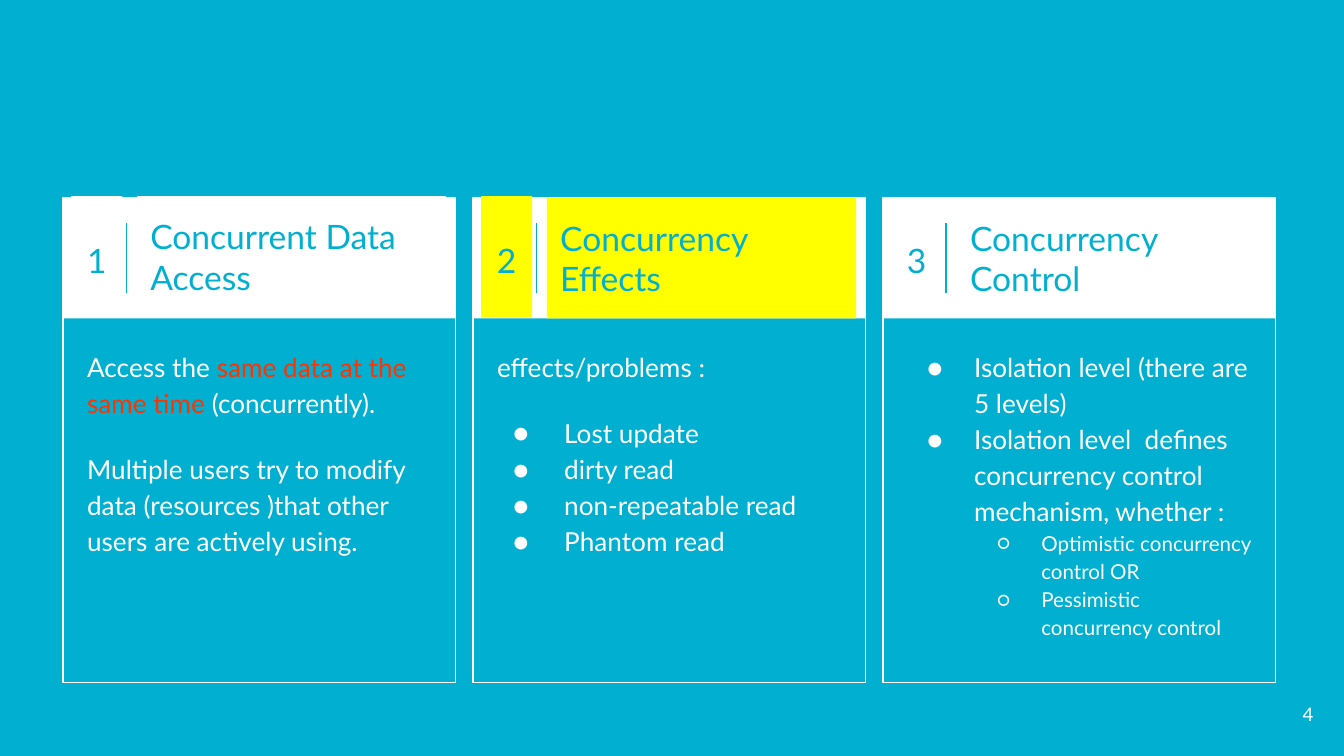
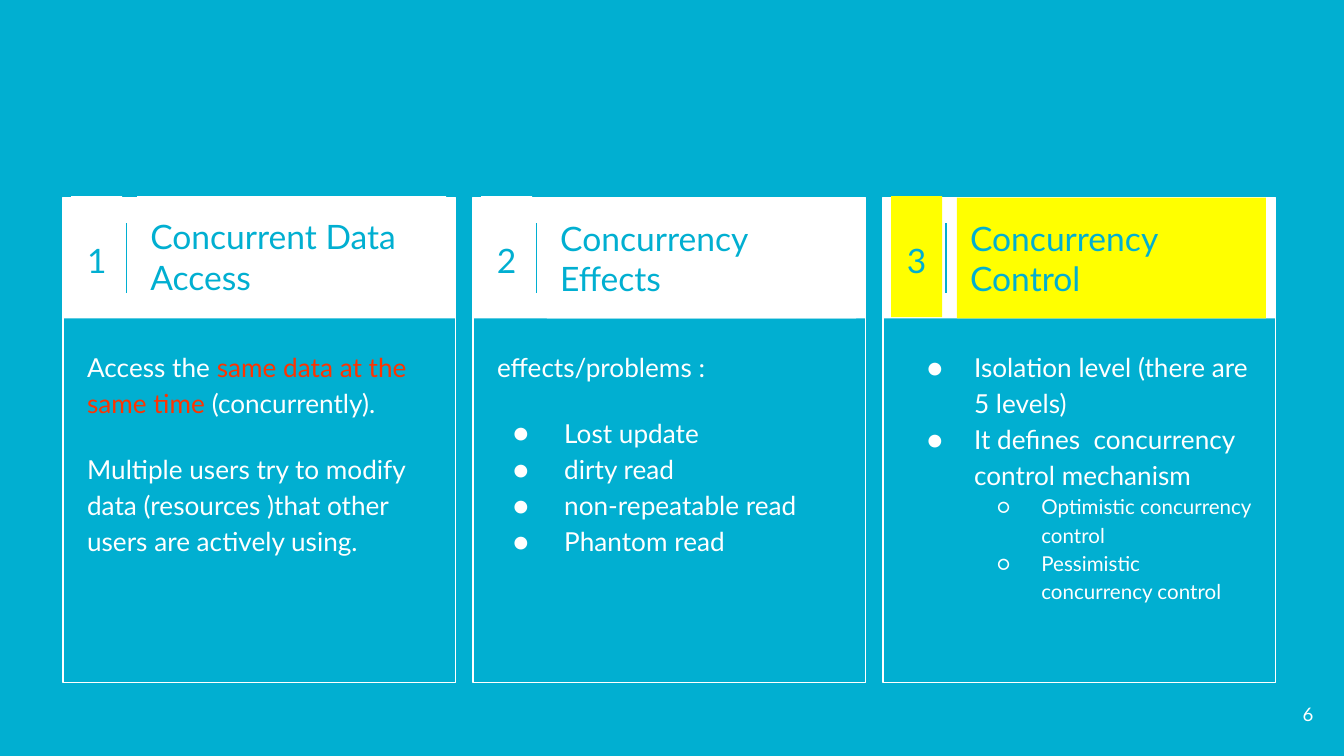
from lxml import etree
from pptx import Presentation
from pptx.dml.color import RGBColor
from pptx.enum.shapes import MSO_CONNECTOR, MSO_SHAPE
from pptx.enum.text import MSO_ANCHOR, PP_ALIGN
from pptx.oxml.ns import qn
from pptx.util import Inches, Pt

RECT = MSO_SHAPE.RECTANGLE
STRAIGHT = MSO_CONNECTOR.STRAIGHT
TOP, MIDDLE = MSO_ANCHOR.TOP, MSO_ANCHOR.MIDDLE
LEFT, CENTER, RIGHT = PP_ALIGN.LEFT, PP_ALIGN.CENTER, PP_ALIGN.RIGHT

BLUE, WHITE, YELLOW, RED = "01AFD1", "FFFFFF", "FFFF00", "FF3300"
FONT = "Lato"
CARD_LEFT, CARD_TOP, CARD_PITCH = 0.47, 1.47, 3.05
CARD_W, CARD_H, HEAD_H = 2.92, 3.61, 0.9


def rgb(color):
    """Turn a hex string into a colour."""
    return RGBColor.from_string(color)


def para(*runs, size=14, before=0, spacing=1.15, align=LEFT, color=WHITE, bullet=None):
    """Describe a paragraph; a run is a text or a (text, colour) pair."""
    runs = [(r, color) if isinstance(r, str) else r for r in runs]
    return dict(runs=runs, size=size, before=before, spacing=spacing,
                align=align, bullet=bullet)


def item(text, hang, before=0):
    """Describe a first-level bullet."""
    return para(text, before=before, bullet=("●", 0, hang))


def subitem(text):
    """Describe a second-level bullet."""
    return para(text, size=11, bullet=("○", 1, 0.33))


class Deck:
    """Holds the presentation, its style and the current slide."""

    def __init__(self):
        """Start an empty 16:9 presentation."""
        self.prs = Presentation()
        self.prs.slide_width = Inches(10)
        self.prs.slide_height = Inches(10 * 9 / 16)
        self.s = None

    def slide(self):
        """Add a slide with its background."""
        self.s = self.prs.slides.add_slide(self.prs.slide_layouts[6])
        fill = self.s.background.fill
        fill.solid()
        fill.fore_color.rgb = rgb(BLUE)

    def page_number(self, number):
        """Write the page number in the corner."""
        self.text(9.27, 5.1, 0.6, 0.43,
                  [para(str(number), size=10, spacing=1, align=RIGHT)], MIDDLE)

    def rect(self, shapes, x, y, w, h, fill=None, line=None):
        """Draw a plain rectangle in the given shape collection."""
        sp = shapes.add_shape(RECT, Inches(x), Inches(y), Inches(w), Inches(h))
        sp.shadow.inherit = False
        if fill:
            sp.fill.solid()
            sp.fill.fore_color.rgb = rgb(fill)
        else:
            sp.fill.background()
        if line:
            sp.line.color.rgb = rgb(line)
            sp.line.width = Pt(0.75)
        else:
            sp.line.fill.background()
        return sp

    def rule(self, x, y1, y2):
        """Draw a thin vertical rule."""
        c = self.s.shapes.add_connector(STRAIGHT, Inches(x), Inches(y1), Inches(x), Inches(y2))
        c.line.color.rgb = rgb(BLUE)
        c.line.width = Pt(0.75)
        etree.SubElement(c._element.spPr, qn("a:effectLst"))

    def text(self, x, y, w, h, paras, anchor=TOP, fill=None):
        """Place paragraphs in a text box, or in a filled rectangle."""
        if fill:
            sp = self.rect(self.s.shapes, x, y, w, h, fill)
        else:
            sp = self.s.shapes.add_textbox(Inches(x), Inches(y), Inches(w), Inches(h))
        tf = sp.text_frame
        tf.word_wrap = True
        tf.vertical_anchor = anchor
        tf.margin_left = tf.margin_right = tf.margin_top = tf.margin_bottom = Inches(0.1)
        for i, style in enumerate(paras):
            self.paragraph(tf.add_paragraph() if i else tf.paragraphs[0], style)

    def paragraph(self, p, style):
        """Fill and format one paragraph."""
        p.alignment = style["align"]
        p.line_spacing = style["spacing"]
        p.space_before = Pt(style["before"])
        if style["bullet"]:
            self.bullet(p, *style["bullet"])
        for text, color in style["runs"]:
            r = p.add_run()
            r.text = text
            r.font.name = FONT
            r.font.size = Pt(style["size"])
            r.font.color.rgb = rgb(color)

    def bullet(self, p, char, level, hang):
        """Give a paragraph a white bullet and a hanging indent."""
        p.level = level
        pPr = p._p.get_or_add_pPr()
        pPr.set("marL", str(Inches(0.5 * (level + 1))))
        pPr.set("indent", str(-Inches(hang)))
        clr = etree.SubElement(pPr, qn("a:buClr"))
        etree.SubElement(clr, qn("a:srgbClr")).set("val", WHITE)
        etree.SubElement(pPr, qn("a:buFont")).set("typeface", FONT)
        etree.SubElement(pPr, qn("a:buChar")).set("char", char)

    def card(self, index, title, title_top, body, fill):
        """Draw a numbered card with its heading filled as given."""
        x = CARD_LEFT + index * CARD_PITCH
        group = self.s.shapes.add_group_shape().shapes
        self.rect(group, x, CARD_TOP, CARD_W, CARD_H, line=WHITE)
        self.rect(group, x, CARD_TOP, CARD_W, HEAD_H, fill=WHITE)
        self.text(x + 0.06, 1.46, 0.38, HEAD_H,
                  [para(str(index + 1), size=18, align=CENTER, color=BLUE)], MIDDLE, fill)
        self.rule(x + 0.47, 1.66, 2.18)
        self.text(x + 0.55, title_top, 2.3, HEAD_H,
                  [para(title, size=18, spacing=1, color=BLUE)], MIDDLE, fill)
        self.text(x + 0.08, 2.48, 2.77, 2.6, body)


ACCESS = [
    para("Access the ", ("same data at the same time", RED), " (concurrently)."),
    para("Multiple users try to modify data (resources )that other users are actively using.",
         before=16),
]
EFFECTS = [
    para("effects/problems :"),
    item("Lost update", 0.38, before=16),
    *(item(t, 0.38) for t in ("dirty read", "non-repeatable read", "Phantom read")),
]


def control(mechanism, optimistic):
    """List the points on concurrency control."""
    return [
        item("Isolation level (there are 5 levels)", 0.35),
        item(mechanism, 0.35),
        subitem(optimistic),
        subitem("Pessimistic concurrency control"),
    ]


SLIDES = [
    (4, (WHITE, YELLOW, None),
     control("Isolation level  defines  concurrency control mechanism, whether :",
             "Optimistic concurrency control OR")),
    (6, (WHITE, WHITE, YELLOW),
     control("It defines  concurrency control mechanism",
             "Optimistic concurrency control")),
]


def main():
    """Build both slides and save them."""
    deck = Deck()
    for number, fills, points in SLIDES:
        deck.slide()
        cards = [("Concurrent Data Access", 1.46, ACCESS),
                 ("Concurrency Effects", CARD_TOP, EFFECTS),
                 ("Concurrency Control", CARD_TOP, points)]
        for i, (card, fill) in enumerate(zip(cards, fills)):
            deck.card(i, *card, fill)
        deck.page_number(number)
    deck.prs.save("out.pptx")


if __name__ == "__main__":
    main()
